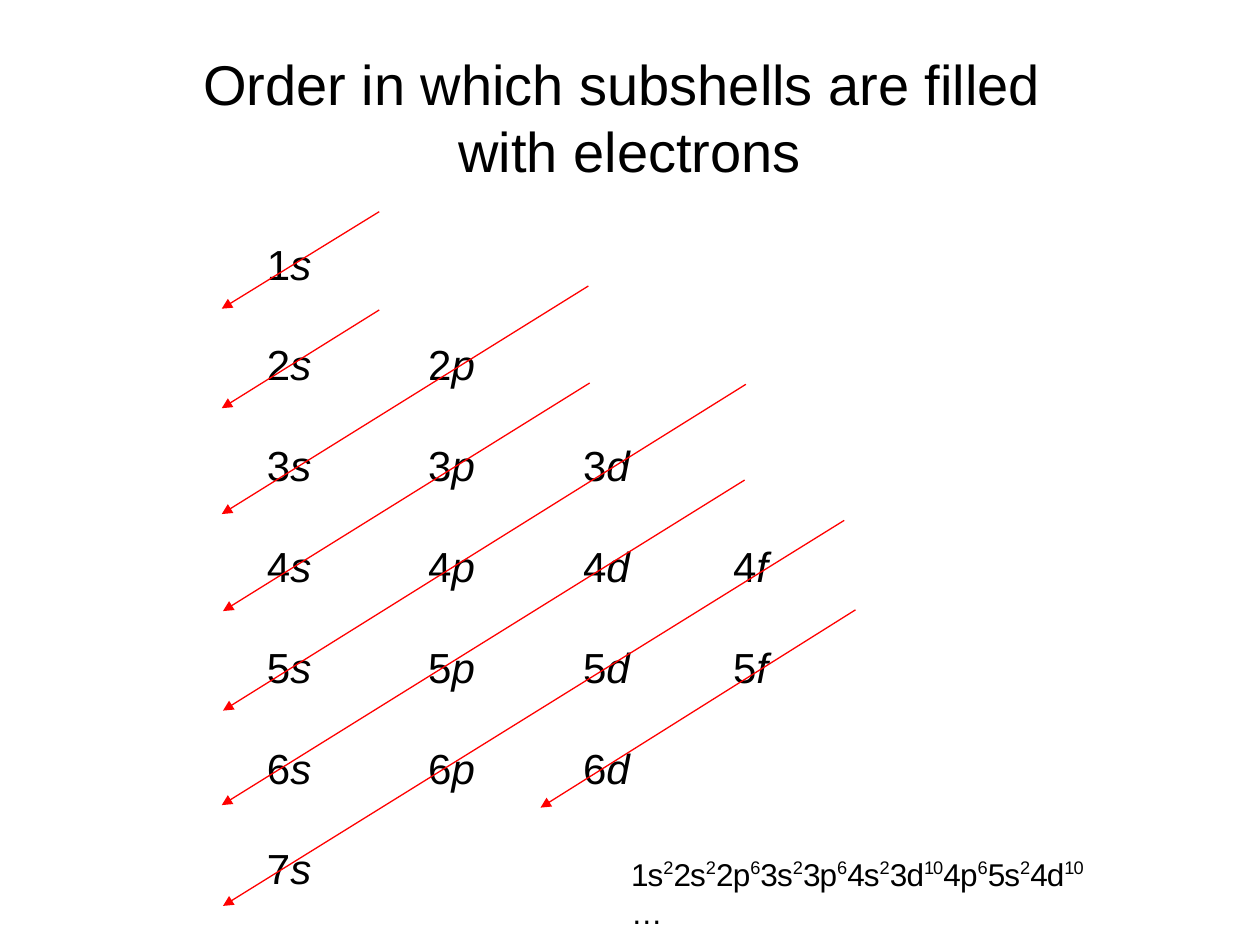
import pptx
import pptx.util
import pptx.dml.color
import pptx.enum.shapes
import pptx.enum.text
import pptx.oxml.ns
from lxml import etree

Inches, Pt = pptx.util.Inches, pptx.util.Pt
RGBColor = pptx.dml.color.RGBColor
PP_ALIGN = pptx.enum.text.PP_ALIGN
MSO_ANCHOR = pptx.enum.text.MSO_ANCHOR
qn = pptx.oxml.ns.qn

BLACK = RGBColor(0x00, 0x00, 0x00)
RED = RGBColor(0xFF, 0x00, 0x00)
FONT = "Arial"

# Content
TITLE = "Order in which subshells are filled \vwith electrons"
# subshell letter, first and last shell, left, width
SUBSHELLS = [
    ("s", 1, 7, 2.02, 0.55),
    ("p", 2, 6, 3.30, 0.57),
    ("d", 3, 6, 4.53, 0.57),
    ("f", 4, 5, 5.72, 0.48),
]
# start and end of each diagonal, in filling order
ARROWS = [
    ((3.01, 1.68), (1.76, 2.45)),
    ((3.01, 2.46), (1.76, 3.24)),
    ((4.67, 2.27), (1.76, 4.08)),
    ((4.68, 3.04), (1.77, 4.85)),
    ((5.92, 3.05), (1.77, 5.64)),
    ((5.91, 3.81), (1.76, 6.39)),
    ((6.70, 4.13), (1.77, 7.19)),
    ((6.79, 4.84), (4.29, 6.41)),
]
CONFIGURATION = [
    ("1s", "2"), ("2s", "2"), ("2p", "6"), ("3s", "2"), ("3p", "6"),
    ("4s", "2"), ("3d", "10"), ("4p", "6"), ("5s", "2"), ("4d", "10"),
]
GRID_TOP, ROW_PITCH, LINE = 1.84, 0.8, 0.4


def add_text_box(slide, left, top, width, height, wrap=False):
    box = slide.shapes.add_textbox(
        Inches(left), Inches(top), Inches(width), Inches(height))
    box.text_frame.word_wrap = wrap
    return box.text_frame


def style(r, size, italic=False):
    r.font.name = FONT
    r.font.size = Pt(size)
    r.font.italic = italic
    r.font.color.rgb = BLACK


def add_run(p, text, size, italic=False):
    r = p.add_run()
    r.text = text
    style(r, size, italic)
    return r


def add_arrow(slide, start, end):
    line = slide.shapes.add_connector(
        pptx.enum.shapes.MSO_CONNECTOR.STRAIGHT,
        *(Inches(v) for v in start + end))
    line.line.color.rgb = RED
    line.line.width = Pt(0.75)
    etree.SubElement(line.line._get_or_add_ln(), qn("a:tailEnd"), type="triangle")
    etree.SubElement(line._element.spPr, qn("a:effectLst"))


prs = pptx.Presentation()
prs.slide_width, prs.slide_height = Inches(10), Inches(7.5)
slide = prs.slides.add_slide(prs.slide_layouts[6])

# Title
tf = add_text_box(slide, 0.5, 0.3, 9, 1.25, wrap=True)
tf.vertical_anchor = MSO_ANCHOR.MIDDLE
p = tf.paragraphs[0]
p.text = TITLE
p.alignment = PP_ALIGN.CENTER
p.line_spacing = Pt(38.4)
for r in p.runs:
    style(r, 32)

# One column per subshell, one row per shell
for letter, first, last, left, width in SUBSHELLS:
    top = GRID_TOP + (first - 1) * ROW_PITCH
    height = (last - first) * ROW_PITCH + LINE + 0.1
    tf = add_text_box(slide, left, top, width, height)
    for shell in range(first, last + 1):
        p = tf.paragraphs[0] if shell == first else tf.add_paragraph()
        p.line_spacing = Inches(LINE)
        if shell > first:
            p.space_before = Inches(ROW_PITCH - LINE)
        add_run(p, str(shell), 24)
        add_run(p, letter, 24, italic=True)

# Filling order diagonals
for start, end in ARROWS:
    add_arrow(slide, start, end)

# Electron configuration with superscript counts, slightly tightened
tf = add_text_box(slide, 4.91, 6.74, 3.92, 0.4)
p = tf.paragraphs[0]
for subshell, count in CONFIGURATION:
    add_run(p, subshell, 18)
    add_run(p, count, 18).font._element.set("baseline", "40000")
add_run(p, "…", 18)
for r in p.runs:
    r.font._element.set("spc", "-50")

prs.save("out.pptx")
